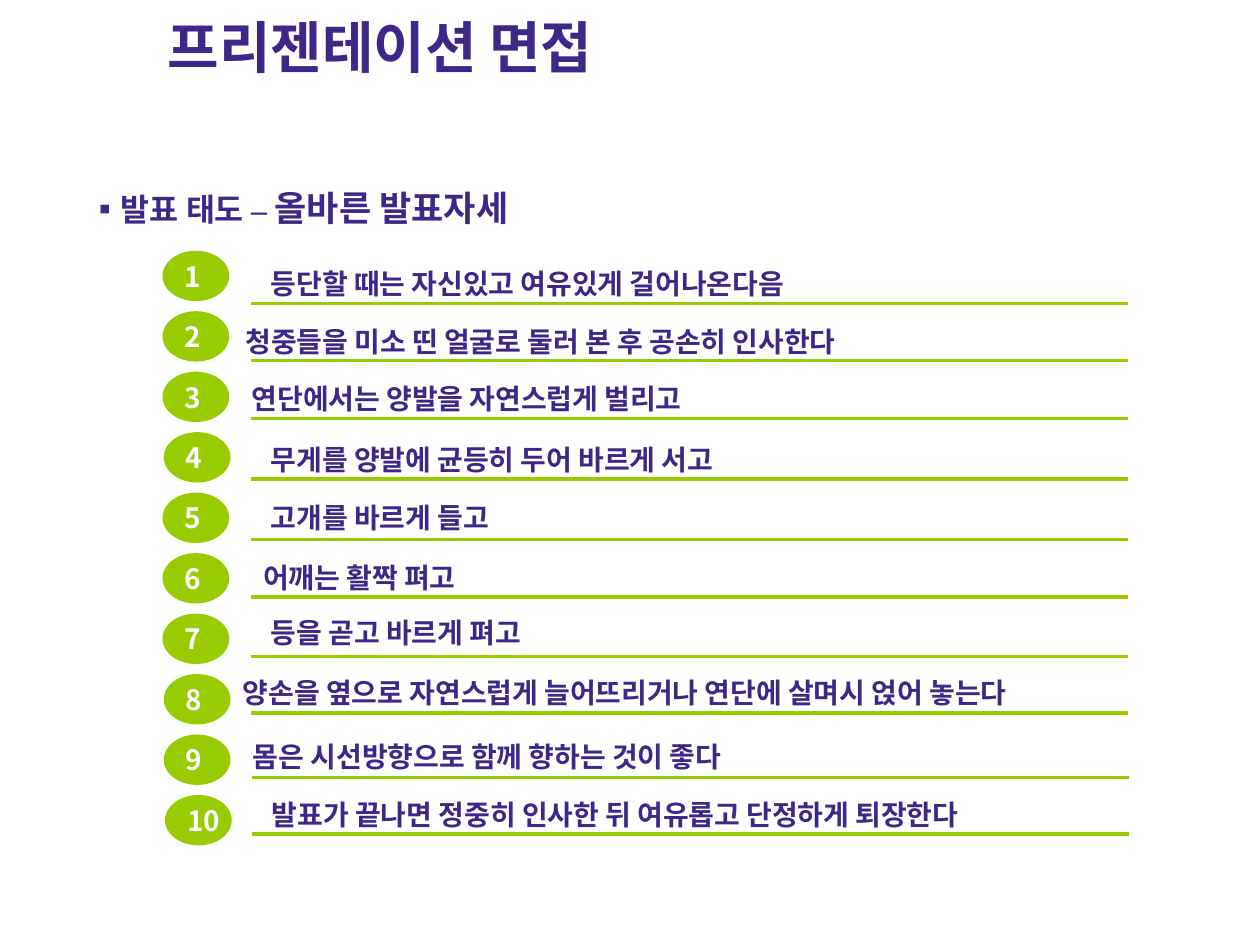
from dataclasses import dataclass

from lxml import etree
from pptx import Presentation
from pptx import util as u
from pptx.dml.color import RGBColor
from pptx.enum import shapes, text
from pptx.oxml.ns import qn

COLORS = {"ink": "3E2787", "green": "99CC00", "white": "FFFFFF"}
FONT = "Noto Sans CJK KR"
BADGE_TOP, BADGE_PITCH = 1.99, 0.48
RULE_WIDTH = 6.96


@dataclass
class Row:
    label: str
    left: float
    top: float
    width: float
    rule_y: float
    badge_x: float = 1.29
    rule_x: float = 1.99
    tight: bool = False


ROWS = [
    Row("등단할 때는 자신있고 여유있게 걸어나온다음", 2.05, 2.05, 6.89, 2.41),
    Row("청중들을 미소 띤 얼굴로 둘러 본 후 공손히 인사한다", 1.85, 2.53, 5.43, 2.86, tight=True),
    Row("연단에서는 양발을 자연스럽게 벌리고", 1.9, 2.98, 3.96, 3.32, tight=True),
    Row("무게를 양발에 균등히 두어 바르게 서고", 2.05, 3.45, 6.89, 3.8, badge_x=1.3),
    Row("고개를 바르게 들고", 2.05, 3.91, 6.89, 4.28),
    Row("어깨는 활짝 펴고", 1.99, 4.4, 1.9, 4.74, tight=True),
    Row("등을 곧고 바르게 펴고", 2.05, 4.82, 6.89, 5.21),
    Row("양손을 옆으로 자연스럽게 늘어뜨리거나 연단에 살며시 얹어 놓는다",
        1.83, 5.31, 6.9, 5.66, badge_x=1.3, tight=True),
    Row("몸은 시선방향으로 함께 향하는 것이 좋다", 1.91, 5.82, 4.33, 6.17,
        badge_x=1.3, rule_x=2.0, tight=True),
    Row("발표가 끝나면 정중히 인사한 뒤 여유롭고 단정하게 퇴장한다",
        2.06, 6.27, 6.89, 6.62, badge_x=1.31, rule_x=2.0),
]


def rgb(name: str) -> RGBColor:
    return RGBColor.from_string(COLORS[name])


def format_run(r, size: float, color: str = "ink", font: str = FONT) -> None:
    r.font.size = u.Pt(size)
    r.font.bold = True
    r.font.name = font
    r.font.color.rgb = rgb(color)
    ea = etree.SubElement(r.font._element, qn("a:ea"))
    ea.set("typeface", font)


def place(sp, left: float, top: float, width: float, height: float) -> None:
    sp.left, sp.top = u.Inches(left), u.Inches(top)
    sp.width, sp.height = u.Inches(width), u.Inches(height)


def add_title(s) -> None:
    sp = s.shapes.title
    place(sp, 1.23, 0.05, 4.87, 0.64)
    tf = sp.text_frame
    tf.text = "프리젠테이션 면접"
    tf.auto_size = text.MSO_AUTO_SIZE.SHAPE_TO_FIT_TEXT
    tf.vertical_anchor = text.MSO_ANCHOR.TOP
    p = tf.paragraphs[0]
    p.alignment = text.PP_ALIGN.LEFT
    format_run(p.runs[0], 32)


def add_heading(s) -> None:
    sp = s.placeholders[1]
    place(sp, 0.61, 1.41, 8.36, 0.48)
    tf = sp.text_frame
    tf.auto_size = text.MSO_AUTO_SIZE.NONE
    tf.vertical_anchor = text.MSO_ANCHOR.MIDDLE
    p = tf.paragraphs[0]
    p.space_before = u.Pt(0)
    for words, size, font in [("발표 태도 ", 18, FONT), ("– ", 18, "Times New Roman"),
                              ("올바른 발표자세", 20, FONT)]:
        r = p.add_run()
        r.text = words
        format_run(r, size, font=font)
    pPr = p._p.get_or_add_pPr()
    pPr.set("marL", str(u.Inches(0.23)))
    pPr.set("indent", str(-u.Inches(0.23)))
    etree.SubElement(pPr, qn("a:buFont")).set("typeface", FONT)
    etree.SubElement(pPr, qn("a:buChar")).set("char", "▪")


def add_badge(s, number: int, left: float) -> None:
    top = BADGE_TOP + BADGE_PITCH * (number - 1)
    sp = s.shapes.add_shape(shapes.MSO_SHAPE.OVAL, u.Inches(left), u.Inches(top),
                            u.Inches(0.53), u.Inches(0.4))
    sp.shadow.inherit = False
    sp.fill.solid()
    sp.fill.fore_color.rgb = rgb("green")
    sp.line.fill.background()
    tf = sp.text_frame
    tf.text = str(number)
    tf.word_wrap = False
    tf.vertical_anchor = text.MSO_ANCHOR.MIDDLE
    p = tf.paragraphs[0]
    p.alignment = text.PP_ALIGN.LEFT
    format_run(p.runs[0], 16, "white")


def add_rule(s, left: float, y: float) -> None:
    line = s.shapes.add_connector(shapes.MSO_CONNECTOR.STRAIGHT, u.Inches(left), u.Inches(y),
                                  u.Inches(left + RULE_WIDTH), u.Inches(y))
    line.line.color.rgb = rgb("green")
    line.line.width = u.Pt(2)
    etree.SubElement(line._element.spPr, qn("a:effectLst"))


def add_label(s, row: Row) -> None:
    height = 0.37 if row.tight else 0.39
    sp = s.shapes.add_textbox(u.Inches(row.left), u.Inches(row.top),
                              u.Inches(row.width), u.Inches(height))
    tf = sp.text_frame
    tf.text = row.label
    tf.word_wrap = not row.tight
    if row.tight:
        tf.auto_size = text.MSO_AUTO_SIZE.SHAPE_TO_FIT_TEXT
    else:
        tf.vertical_anchor = text.MSO_ANCHOR.MIDDLE
    format_run(tf.paragraphs[0].runs[0], 16)


def main() -> None:
    prs = Presentation()
    prs.slide_width, prs.slide_height = u.Inches(10), u.Inches(7.5)
    s = prs.slides.add_slide(prs.slide_layouts[1])
    add_title(s)
    add_heading(s)
    for number, row in enumerate(ROWS, 1):
        add_badge(s, number, row.badge_x)
        add_rule(s, row.rule_x, row.rule_y)
        add_label(s, row)
    prs.save("out.pptx")


if __name__ == "__main__":
    main()
